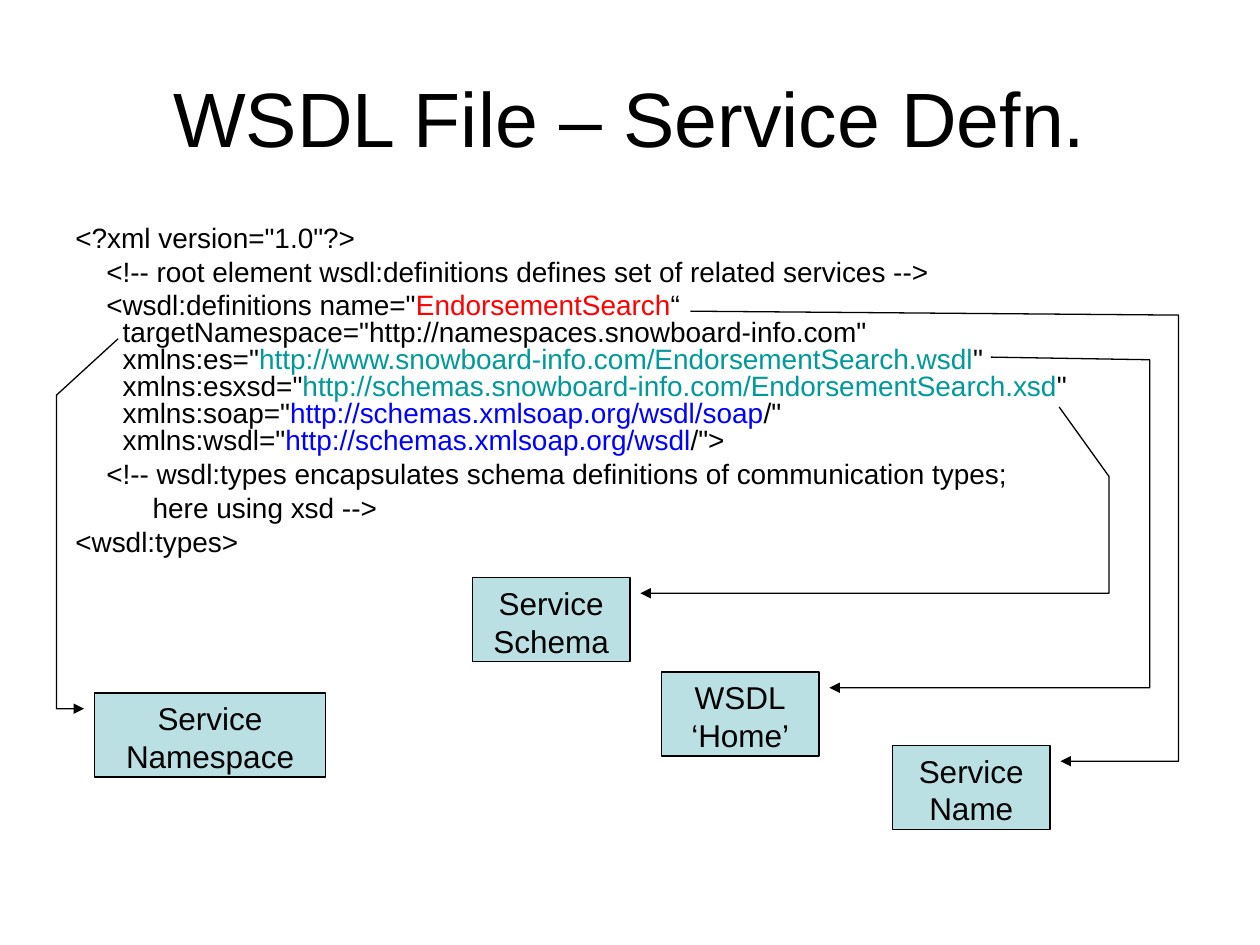
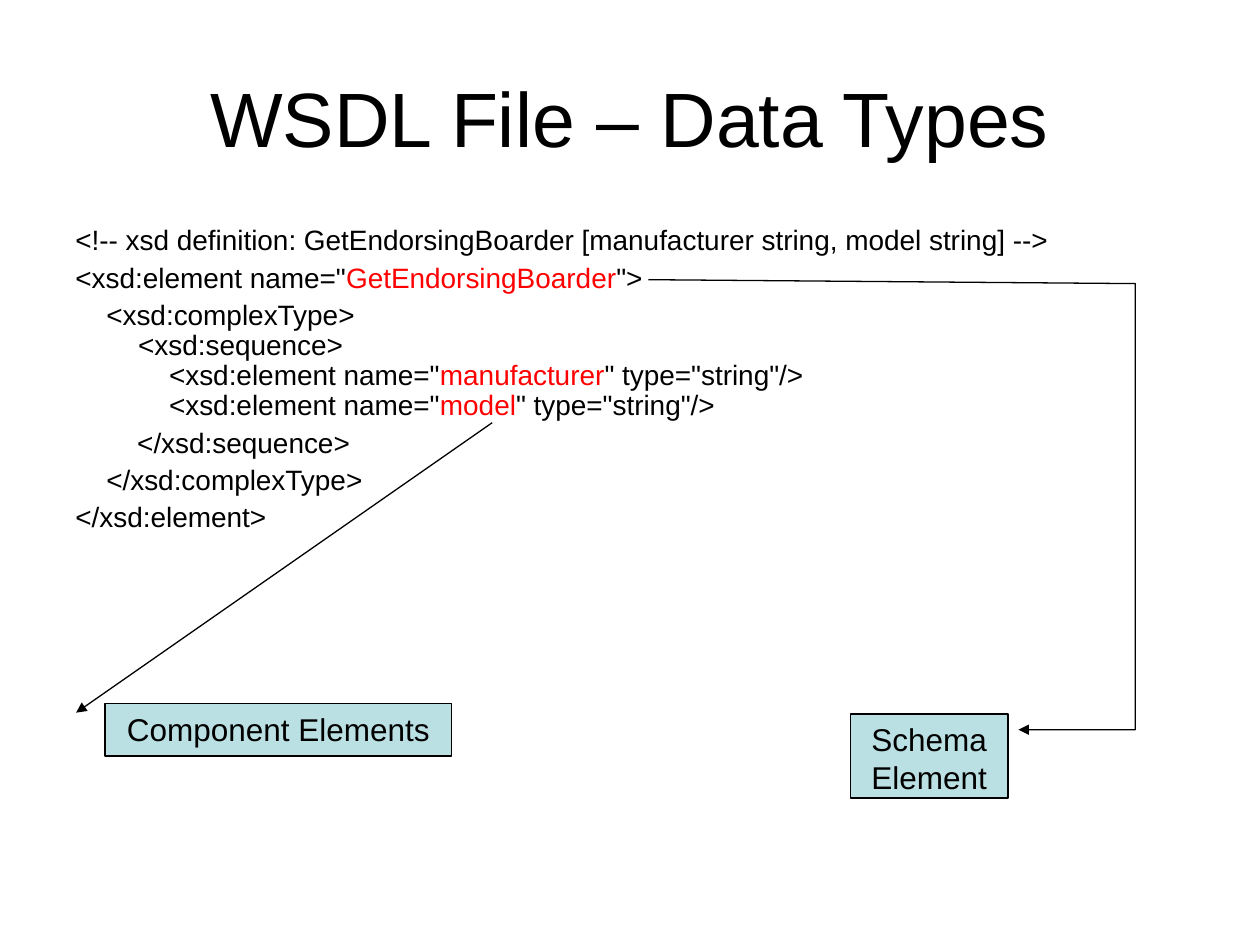
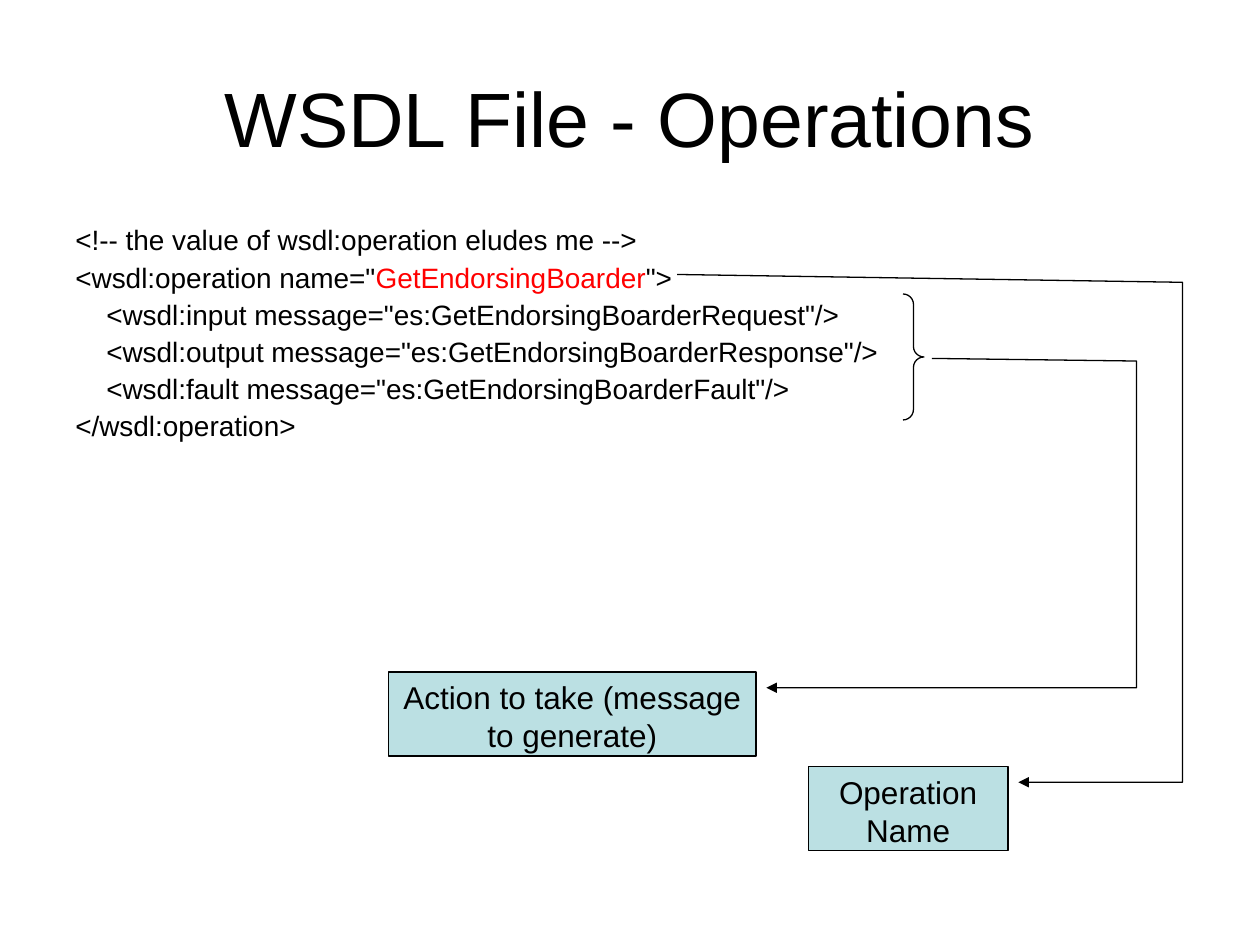
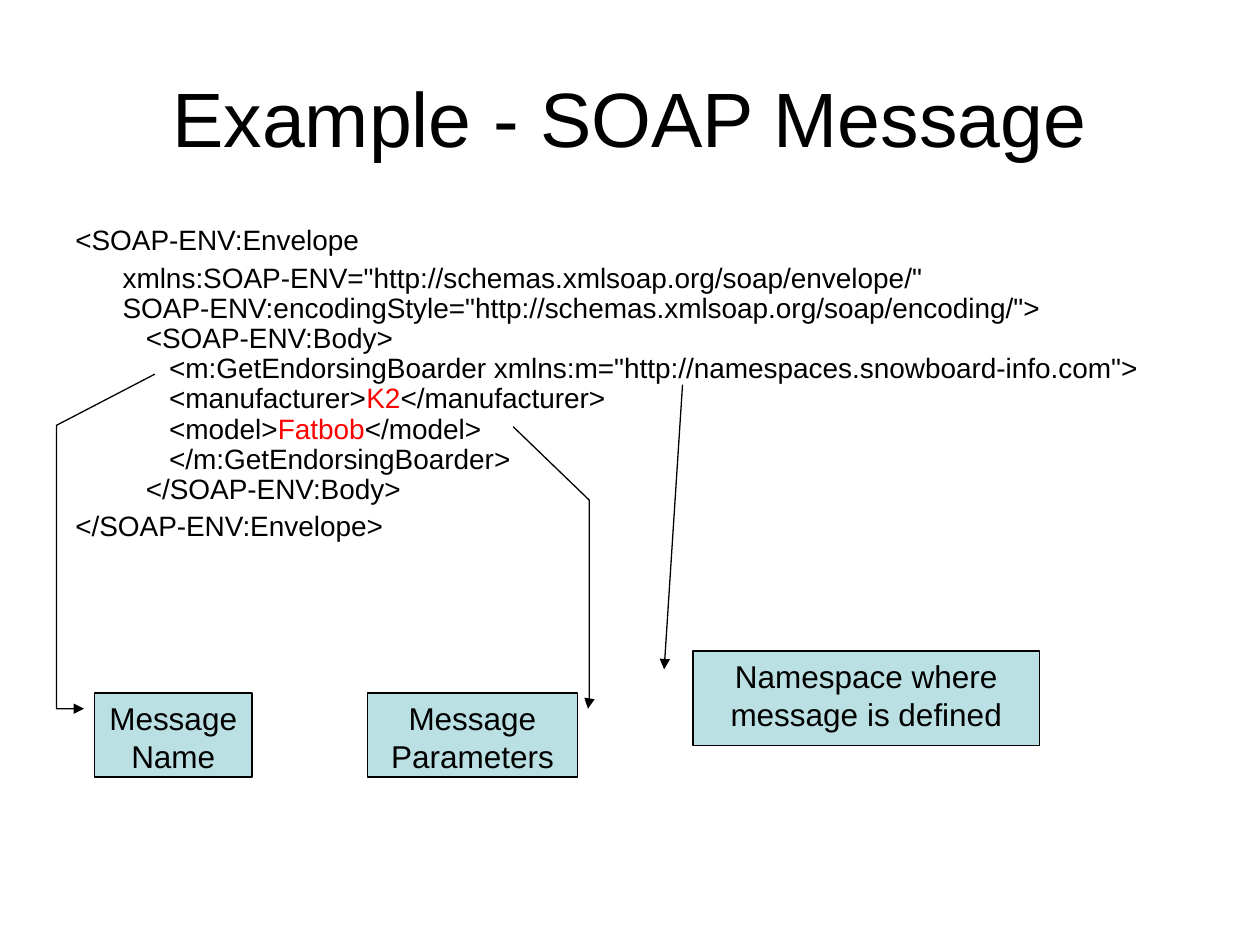
import copy

import pptx
import pptx.dml.color
import pptx.enum.shapes
import pptx.enum.text
import pptx.oxml.ns
import pptx.util
from lxml import etree

PX = 9525  # EMU per px, 96 px to the inch

BLACK = "000000"
RED = "FF0000"
TEAL = "009999"
BLUE = "0000FF"
PALE_BLUE = "BBE0E3"

SHAPES = pptx.enum.shapes.MSO_SHAPE
ALIGN = pptx.enum.text.PP_ALIGN
ANCHOR = pptx.enum.text.MSO_ANCHOR


def color(value):
    return pptx.dml.color.RGBColor.from_string(value)


def lengths(*values):
    return [pptx.util.Emu(value * PX) for value in values]


class Deck:
    font = "Arial"
    title_size = 44
    code_size = 16
    label_size = 18
    line_width = 0.75
    hanging = 36

    def __init__(self):
        self.deck = pptx.Presentation()
        self.deck.slide_width, self.deck.slide_height = lengths(960, 720)
        self.page = None

    def add_page(self, title):
        self.page = self.deck.slides.add_slide(self.deck.slide_layouts[6])
        frame = self.text_box(48, 29, 864, 120)
        frame.vertical_anchor = ANCHOR.MIDDLE
        frame.text = title
        self.center(frame, self.title_size)

    def text_box(self, *place):
        frame = self.page.shapes.add_textbox(*lengths(*place)).text_frame
        frame.word_wrap = True
        return frame

    def style(self, span, size, ink=BLACK):
        span.font.name = self.font
        span.font.size = pptx.util.Pt(size)
        span.font.color.rgb = color(ink)

    def center(self, frame, size):
        for para in frame.paragraphs:
            para.alignment = ALIGN.CENTER
            for span in para.runs:
                self.style(span, size)

    def code(self, height, spacing, lines):
        """Each line is a string, or a list of strings and (text, colour) pairs."""
        frame = self.text_box(48, 168, 864, height)
        for number, line in enumerate(lines):
            para = frame.add_paragraph() if number else frame.paragraphs[0]
            para.line_spacing = spacing
            if number:
                para.space_before = pptx.util.Pt(4)
            properties = para._p.get_or_add_pPr()
            properties.set("marL", str(self.hanging * PX))
            properties.set("indent", str(-self.hanging * PX))
            for part in [line] if isinstance(line, str) else line:
                self.code_part(para, *((part,) if isinstance(part, str) else part))
            # Line breaks take the text size of the code
            for line_break in para._p.findall(pptx.oxml.ns.qn("a:br")):
                line_break.append(copy.deepcopy(para.runs[0]._r.rPr))

    def code_part(self, para, text, ink=BLACK):
        for number, piece in enumerate(text.split("\n")):
            if number:
                para.add_line_break()
            if piece:
                span = para.add_run()
                span.text = piece
                self.style(span, self.code_size, ink)

    def shape(self, kind, place, fill=None):
        shape = self.page.shapes.add_shape(kind, *lengths(*place))
        shape.shadow.inherit = False
        if fill:
            shape.fill.solid()
            shape.fill.fore_color.rgb = color(fill)
        else:
            shape.fill.background()
        shape.line.color.rgb = color(BLACK)
        shape.line.width = pptx.util.Pt(self.line_width)
        return shape

    def callout(self, text, place, leader):
        """Labelled box; the leader runs from its arrowhead to the code."""
        kind = SHAPES.LINE_CALLOUT_1 if len(leader) == 2 else SHAPES.LINE_CALLOUT_3
        box = self.shape(kind, place, PALE_BLUE)
        left, top, width, height = place
        for number, (x, y) in enumerate(leader):
            box.adjustments[2 * number] = (y - top) / height
            box.adjustments[2 * number + 1] = (x - left) / width
        outline = box.line._get_or_add_ln()
        etree.SubElement(outline, pptx.oxml.ns.qn("a:headEnd"), type="triangle")
        frame = box.text_frame
        frame.word_wrap = True
        frame.vertical_anchor = ANCHOR.TOP
        frame.text = text
        self.center(frame, self.label_size)

    def brace(self, *place):
        brace = self.shape(SHAPES.RIGHT_BRACE, place)
        brace.adjustments[0] = 0.5
        brace.adjustments[1] = 0.5


def service_definition(deck):
    deck.add_page("WSDL File – Service Defn.")
    deck.code(272, 0.8, [
        '<?xml version="1.0"?>',
        "    <!-- root element wsdl:definitions defines set of related services -->",
        ['    <wsdl:definitions name="', ("EndorsementSearch", RED),
         '“ targetNamespace="http://namespaces.snowboard-info.com"\nxmlns:es="',
         ("http://www.snowboard-info.com/EndorsementSearch.wsdl", TEAL),
         '"\nxmlns:esxsd="',
         ("http://schemas.snowboard-info.com/EndorsementSearch.xsd", TEAL),
         '"\nxmlns:soap="', ("http://schemas.xmlsoap.org/wsdl/soap", BLUE),
         '/"\nxmlns:wsdl="', ("http://schemas.xmlsoap.org/wsdl", BLUE), '/">'],
        "    <!-- wsdl:types encapsulates schema definitions of communication types;",
        "          here using xsd -->",
        "<wsdl:types>",
    ])
    deck.callout("Service\nName", (680, 568, 120, 64),
                 [(808, 580), (898, 580), (898, 240), (526, 237)])
    deck.callout("Service\nNamespace", (72, 528, 176, 64),
                 [(64, 540), (43, 540), (43, 301), (90, 258)])
    deck.callout("WSDL\n‘Home’", (504, 512, 120, 64),
                 [(632, 524), (876, 524), (876, 274), (755, 272)])
    deck.callout("Service\nSchema", (360, 440, 120, 64),
                 [(488, 452), (845, 452), (845, 363), (807, 310)])


def data_types(deck):
    deck.add_page("WSDL File – Data Types")
    deck.code(256, 0.9, [
        "<!-- xsd definition: GetEndorsingBoarder [manufacturer string, model string] -->",
        ['<xsd:element name="', ("GetEndorsingBoarder", RED), '">'],
        ['    <xsd:complexType>\n  <xsd:sequence>\n      <xsd:element name="',
         ("manufacturer", RED), '" type="string"/>\n      <xsd:element name="',
         ("model", RED), '" type="string"/>'],
        "        </xsd:sequence>",
        "    </xsd:complexType>",
        "</xsd:element>",
    ])
    deck.callout("Schema\nElement", (648, 544, 120, 64),
                 [(776, 556), (865, 556), (865, 216), (494, 213)])
    deck.callout("Component Elements", (80, 536, 264, 40), [(58, 543), (375, 322)])


def operations(deck):
    deck.add_page("WSDL File - Operations")
    deck.code(192, 0.9, [
        "<!-- the value of wsdl:operation eludes me -->",
        ['<wsdl:operation name="', ("GetEndorsingBoarder", RED), '">'],
        '    <wsdl:input message="es:GetEndorsingBoarderRequest"/>',
        '    <wsdl:output message="es:GetEndorsingBoarderResponse"/>',
        '    <wsdl:fault message="es:GetEndorsingBoarderFault"/>',
        "</wsdl:operation>",
    ])
    deck.callout("Operation\nName", (616, 584, 152, 64),
                 [(776, 596), (901, 596), (901, 215), (516, 209)])
    deck.callout("Action to take (message to generate)", (296, 512, 280, 64),
                 [(584, 524), (866, 524), (866, 275), (710, 273)])
    deck.brace(688, 224, 16, 96)


def soap_message(deck):
    deck.add_page("Example - SOAP Message")
    deck.code(272, 0.9, [
        "<SOAP-ENV:Envelope",
        ['\txmlns:SOAP-ENV="http://schemas.xmlsoap.org/soap/envelope/"\n'
         'SOAP-ENV:encodingStyle="http://schemas.xmlsoap.org/soap/encoding/">\n'
         "   <SOAP-ENV:Body>\n"
         '      <m:GetEndorsingBoarder xmlns:m="http://namespaces.snowboard-info.com">\n'
         "      <manufacturer>", ("K2", RED),
         "</manufacturer>\n      <model>", ("Fatbob", RED),
         "</model>\n      </m:GetEndorsingBoarder>\n   </SOAP-ENV:Body>"],
        "</SOAP-ENV:Envelope>",
    ])
    deck.callout("Namespace where message is defined", (528, 496, 264, 72),
                 [(506, 510), (520, 293)])
    deck.callout("Message\nName", (72, 528, 120, 64),
                 [(64, 540), (43, 540), (43, 324), (118, 285)])
    deck.callout("Message\nParameters", (280, 528, 160, 64),
                 [(448, 540), (449, 540), (449, 381), (391, 325)])


def main():
    deck = Deck()
    service_definition(deck)
    data_types(deck)
    operations(deck)
    soap_message(deck)
    deck.deck.save("out.pptx")


if __name__ == "__main__":
    main()
